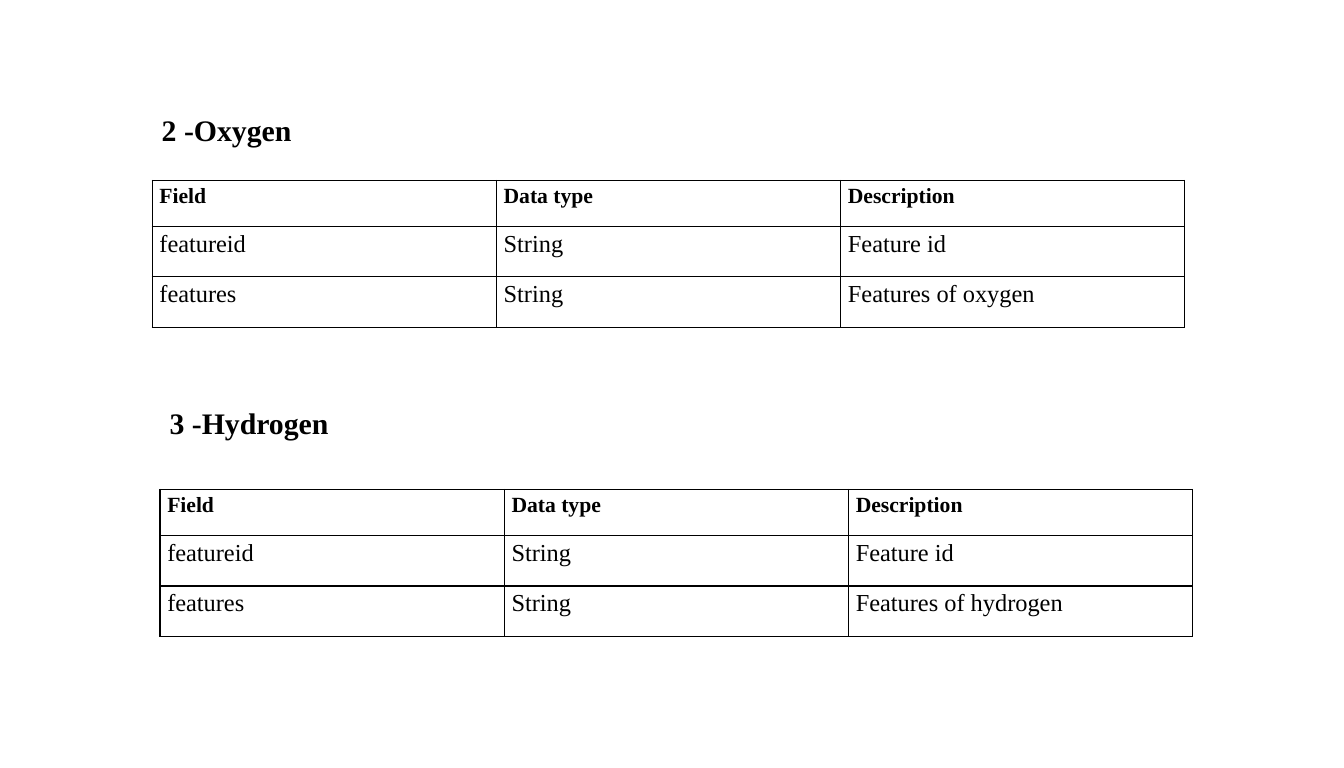
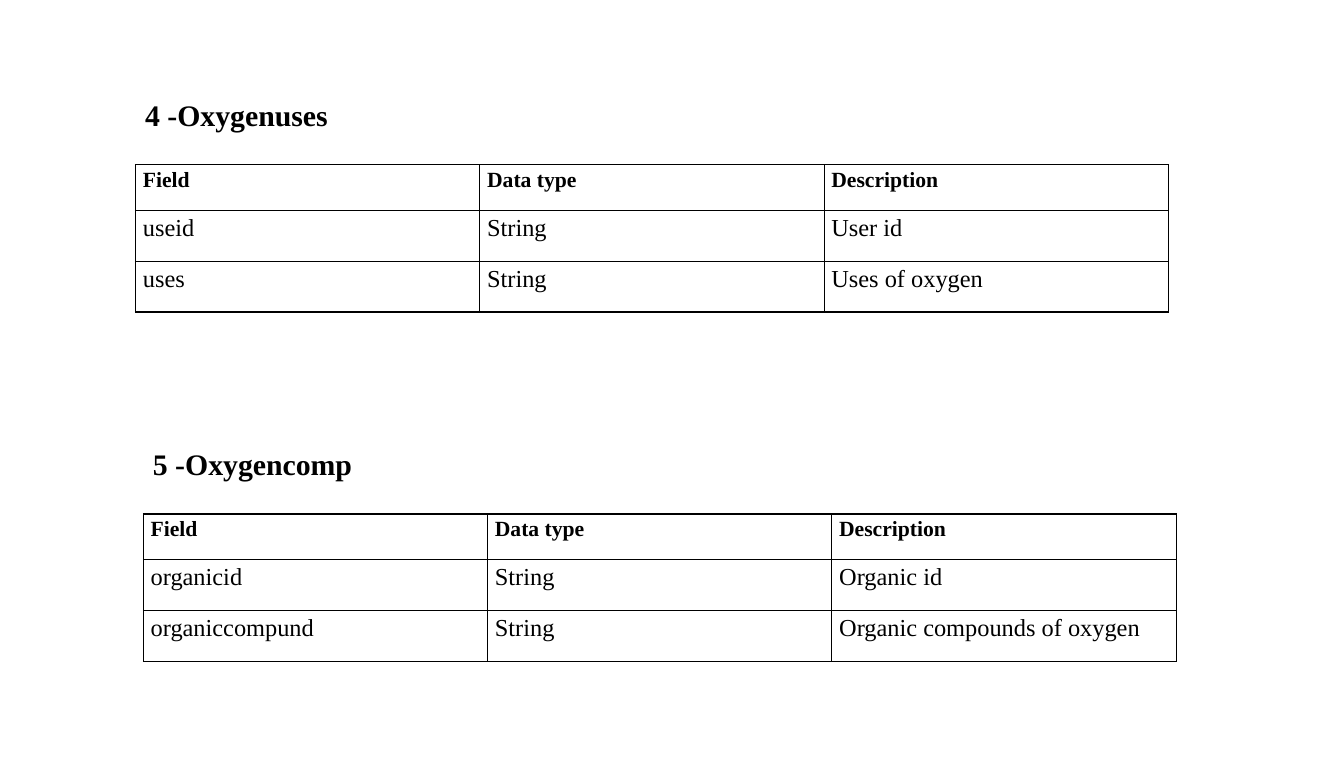
from lxml import etree
from pptx import Presentation
from pptx.dml.color import RGBColor
from pptx.enum.text import MSO_AUTO_SIZE
from pptx.oxml.ns import qn
from pptx.util import Inches, Pt

# Content: each slide lists its sections
# (title, title width, left, title top, table top, field rows)
HEADER = ("Field", "Data type", "Description")
SLIDES = [
    [
        ("2 -Oxygen", 1.55, 1.56, 1.1, 1.85,
         [("featureid", "String", "Feature id"),
          ("features", "String", "Features of oxygen")]),
        ("3 -Hydrogen", 1.85, 1.64, 4.1, 5.02,
         [("featureid", "String", "Feature id"),
          ("features", "String", "Features of hydrogen")]),
    ],
    [
        ("4 -Oxygenuses", 2.1, 1.39, 0.94, 1.69,
         [("useid", "String", "User id"),
          ("uses", "String", "Uses of oxygen")]),
        ("5 -Oxygencomp", 2.27, 1.47, 4.52, 5.27,
         [("organicid", "String", "Organic id"),
          ("organiccompund", "String", "Organic compounds of oxygen")]),
    ],
]

# Shared style
BLACK = RGBColor(0, 0, 0)
FONT = "Times New Roman"
TITLE = {"name": FONT, "size": Pt(22), "bold": True}
HEAD = {"name": FONT, "size": Pt(16), "bold": True}
BODY = {"name": FONT, "size": Pt(18), "bold": False}
CELL = {"margin_left": Pt(5.4), "margin_right": Pt(5.4),
        "margin_top": 0, "margin_bottom": 0}
SLIDE_W, SLIDE_H = Pt(992.25), Pt(567)
TITLE_H, COL_W, HEAD_H, ROW_H = 0.47, 3.53, 0.47, 0.52
BORDERS = ("a:lnL", "a:lnR", "a:lnT", "a:lnB")
FIT_SHAPE = MSO_AUTO_SIZE.SHAPE_TO_FIT_TEXT


def set_attrs(obj, values):
    for name, value in values.items():
        setattr(obj, name, value)


def write(tf, text, style):
    p = tf.paragraphs[0]
    r = p.add_run()
    r.text = text
    set_attrs(r.font, style)
    r.font.color.rgb = BLACK
    return p


def add_borders(cell):
    tc_pr = cell._tc.get_or_add_tcPr()
    for i, tag in enumerate(BORDERS):
        ln = etree.Element(qn(tag), w=str(Pt(1)))
        fill = etree.SubElement(ln, qn("a:solidFill"))
        etree.SubElement(fill, qn("a:srgbClr"), val=str(BLACK))
        tc_pr.insert(i, ln)


def add_title(s, text, left, top, width):
    sp = s.shapes.add_textbox(Inches(left), Inches(top), Inches(width), Inches(TITLE_H))
    tf = sp.text_frame
    tf.word_wrap = False
    tf.auto_size = FIT_SHAPE
    write(tf, text, TITLE)


def add_field_table(s, left, top, fields):
    rows = [HEADER] + fields
    heights = [HEAD_H] + [ROW_H] * len(fields)
    table = s.shapes.add_table(
        len(rows), len(HEADER), Inches(left), Inches(top),
        Inches(COL_W * len(HEADER)), Inches(sum(heights))).table
    for col in table.columns:
        col.width = Inches(COL_W)
    for i, (values, height) in enumerate(zip(rows, heights)):
        table.rows[i].height = Inches(height)
        for j, text in enumerate(values):
            cell = table.cell(i, j)
            set_attrs(cell, CELL)
            cell.fill.background()
            add_borders(cell)
            p = write(cell.text_frame, text, BODY if i else HEAD)
            p.line_spacing = 1.15


# Build the slides
prs = Presentation()
prs.slide_width, prs.slide_height = SLIDE_W, SLIDE_H
for sections in SLIDES:
    s = prs.slides.add_slide(prs.slide_layouts[6])
    for title, width, left, title_top, table_top, fields in sections:
        add_title(s, title, left, title_top, width)
        add_field_table(s, left, table_top, fields)
prs.save("out.pptx")
